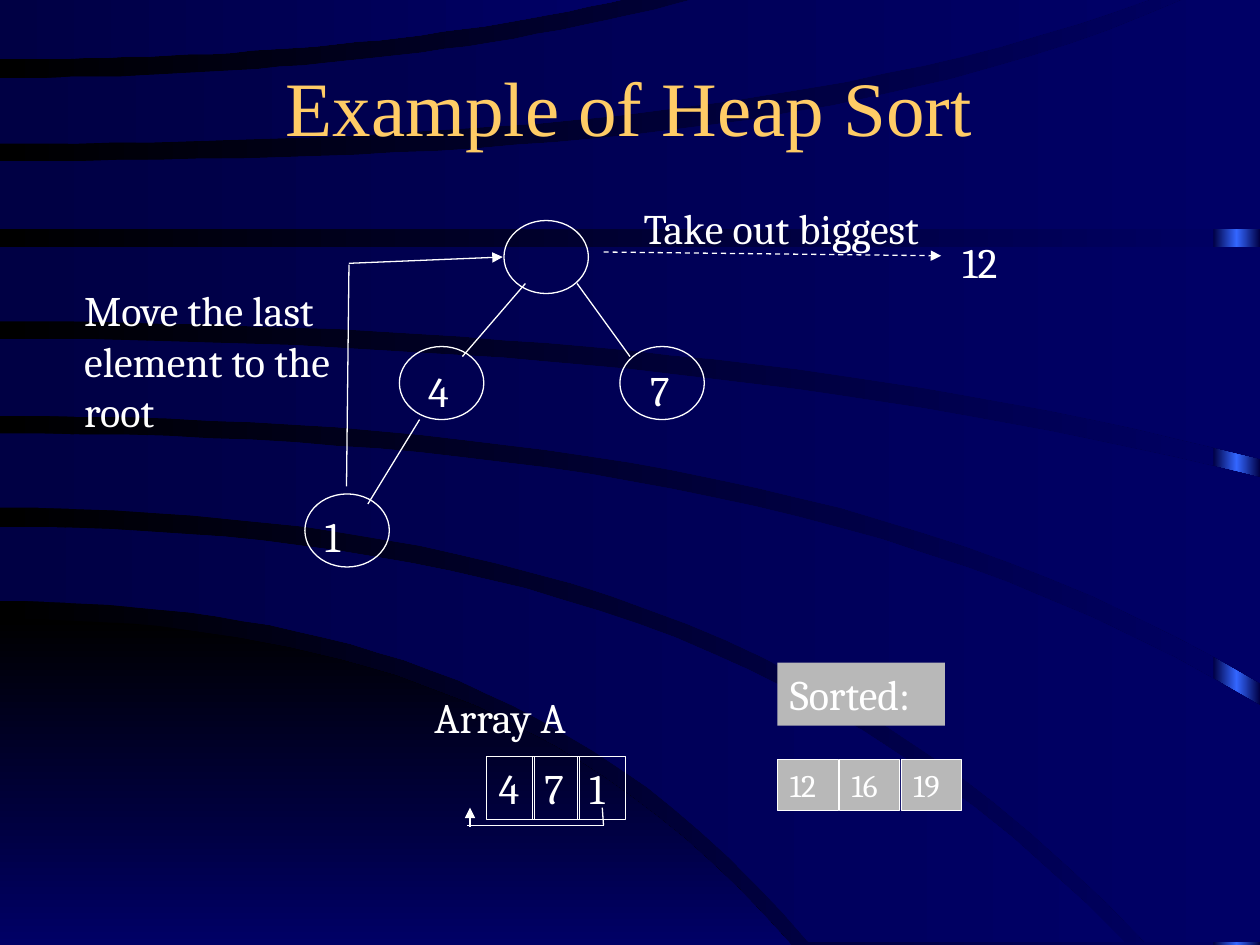
from copy import deepcopy

from lxml.etree import SubElement
from pptx import Presentation
from pptx.dml.color import RGBColor
from pptx.enum.dml import MSO_LINE
from pptx.enum.shapes import MSO_CONNECTOR, MSO_SHAPE
from pptx.enum.text import MSO_ANCHOR, MSO_AUTO_SIZE, PP_ALIGN
from pptx.oxml.ns import qn
from pptx.util import Pt

PX = 9144  # EMU per px, 100 px to the inch
WHITE, GOLD, GREY = "FFFFFF", "FFCC66", "B8B8B8"
BLACK, NAVY, DARK_NAVY, BRIGHT_BLUE = "000000", "000066", "000044", "3366FF"
CURVE_STEPS = 30
color = RGBColor.from_string


def paint_gradient(fill, start, end, angle=0):
    fill.gradient()
    fill.gradient_angle = angle
    for stop, position, value in zip(fill.gradient_stops, (0, 1), (start, end)):
        stop.position = position
        stop.color.rgb = color(value)


def write(shape, text, size=24, wrap=False):
    """Put left-aligned white text into a shape that grows to fit it."""
    frame = shape.text_frame
    frame.text = text
    frame.word_wrap = wrap
    frame.auto_size = MSO_AUTO_SIZE.SHAPE_TO_FIT_TEXT
    frame.vertical_anchor = MSO_ANCHOR.TOP
    for paragraph in frame.paragraphs:
        paragraph.alignment = PP_ALIGN.LEFT
        paragraph.font.size = Pt(size)
        paragraph.font.name = "Cambria"
        paragraph.font.color.rgb = color(WHITE)


prs = Presentation()
prs.slide_width, prs.slide_height = 1000 * PX, 750 * PX
slide = prs.slides.add_slide(prs.slide_layouts[5])
shapes = slide.shapes

# Backdrop: bright right edge, dark corner and curved bands
paint_gradient(slide.background.fill, BLACK, NAVY)

edge = shapes.add_shape(MSO_SHAPE.RECTANGLE, 963 * PX, 0, 37 * PX, 750 * PX)
edge.shadow.inherit = False
edge.line.fill.background()
paint_gradient(edge.fill, DARK_NAVY, DARK_NAVY)
stop_list = edge._element.spPr.find(".//" + qn("a:gsLst"))
stop_list.insert(1, deepcopy(stop_list[0]))
middle_stop = edge.fill.gradient_stops[1]
middle_stop.position = 0.5
middle_stop.color.rgb = color(BRIGHT_BLUE)

# Upper and lower side of each region: y at the left, end x, end y, and the
# share of the square term; the rest of the bend goes with the fourth power
corner = [(491, 628, 750, 0.6), (750, 628, 750, 1)]
bands = [
    [(418, 893, 748, 0.6), (477, 642, 748, 0.6)],
    [(344, 1000, 560, 0.6), (403, 909, 748, 0.6)],
    [(269, 1000, 379, 0.85), (330, 1000, 542, 0.6)],
    [(196, 1000, 196, 1), (255, 1000, 364, 0.8)],
    [(128, 943, -2, 0.4), (182, 1000, 182, 1)],
    [(62, 556, -2, 0.8), (114, 917, -2, 0.55)],
    [(-2, 501, -2, 1), (47, 501, -2, 0.8)],
]
for sides in [corner] + bands:
    upper, lower = [
        [(round(end_x * t), round(y + (end_y - y) * (share * t**2 + (1 - share) * t**4)))
         for t in (step / CURVE_STEPS for step in range(CURVE_STEPS + 1))]
        for y, end_x, end_y, share in sides
    ]
    far_x, near_y = max(upper[-1], lower[-1])[0], min(upper[-1], lower[-1])[1]
    builder = shapes.build_freeform(*upper[0], scale=PX)
    builder.add_line_segments(upper[1:] + [(far_x, near_y)] + lower[::-1], close=True)
    region = builder.convert_to_shape()
    region.shadow.inherit = False
    region.line.fill.background()
    if sides is corner:
        paint_gradient(region.fill, BLACK, NAVY, 270)
    else:
        paint_gradient(region.fill, DARK_NAVY, NAVY)

# Heap nodes
for left, top in [(400, 175), (317, 275), (492, 275), (242, 392)]:
    node = shapes.add_shape(MSO_SHAPE.OVAL, left * PX, top * PX, 67 * PX, 58 * PX)
    node.shadow.inherit = False
    node.fill.background()
    node.line.color.rgb = color(WHITE)
    node.line.width = Pt(0.75)

# Node values and captions
for text, left, top, width, height in [
    ("4", 330, 285, 38, 50),
    ("7", 506, 284, 38, 50),
    ("1", 248, 400, 38, 50),
    ("12", 754, 183, 57, 50),
    ("Array A", 335, 544, 143, 50),
    ("Take out biggest", 501, 156, 275, 50),
    ("Move the last\nelement to the\nroot", 57, 221, 251, 130),
]:
    write(shapes.add_textbox(left * PX, top * PX, width * PX, height * PX), text)

# Array cells, sorted cells and the sorted heading
cells = [(value, 386 + 36 * i, 600, 38, 50, 24, None, WHITE)
         for i, value in enumerate("471")]
cells += [(value, 617 + 49 * i, 603, 48, 40, 18, GREY, WHITE)
          for i, value in enumerate(["12", "16", "19"])]
cells.append(("Sorted:", 617, 526, 133, 50, 24, GREY, None))
for text, left, top, width, height, size, fill, outline in cells:
    cell = shapes.add_shape(MSO_SHAPE.RECTANGLE, left * PX, top * PX,
                            width * PX, height * PX)
    cell.shadow.inherit = False
    if fill:
        cell.fill.solid()
        cell.fill.fore_color.rgb = color(fill)
    else:
        cell.fill.background()
    if outline:
        cell.line.color.rgb = color(outline)
        cell.line.width = Pt(0.25)
    else:
        cell.line.fill.background()
    write(cell, text, size, wrap=text == "Sorted:")

# Tree edges and the paths of moved elements: ends, arrowhead, dashed
for x1, y1, x2, y2, arrow, dashed in [
    (417, 225, 367, 283, False, False),
    (333, 333, 292, 400, False, False),
    (458, 225, 500, 283, False, False),
    (479, 200, 747, 203, True, True),
    (478, 641, 479, 655, False, False),
    (479, 655, 371, 655, False, False),
    (373, 656, 373, 641, True, False),
    (275, 386, 277, 210, False, False),
    (277, 209, 399, 204, True, False),
]:
    link = shapes.add_connector(MSO_CONNECTOR.STRAIGHT, x1 * PX, y1 * PX, x2 * PX, y2 * PX)
    link.line.color.rgb = color(WHITE)
    link.line.width = Pt(0.75)
    if dashed:
        link.line.dash_style = MSO_LINE.DASH
    if arrow:
        SubElement(link._element.spPr.find(qn("a:ln")), qn("a:tailEnd"), type="triangle")
    SubElement(link._element.spPr, qn("a:effectLst"))

title = shapes.title
title.left, title.top, title.width, title.height = 33 * PX, 42 * PX, 933 * PX, 83 * PX
title.text_frame.text = "Example of Heap Sort"
title.text_frame.vertical_anchor = MSO_ANCHOR.MIDDLE
heading = title.text_frame.paragraphs[0]
heading.alignment = PP_ALIGN.CENTER
heading.font.size = Pt(44)
heading.font.name = "Times New Roman"
heading.font.color.rgb = color(GOLD)
shapes._spTree.append(title._element)  # in front of the backdrop

prs.save("out.pptx")
